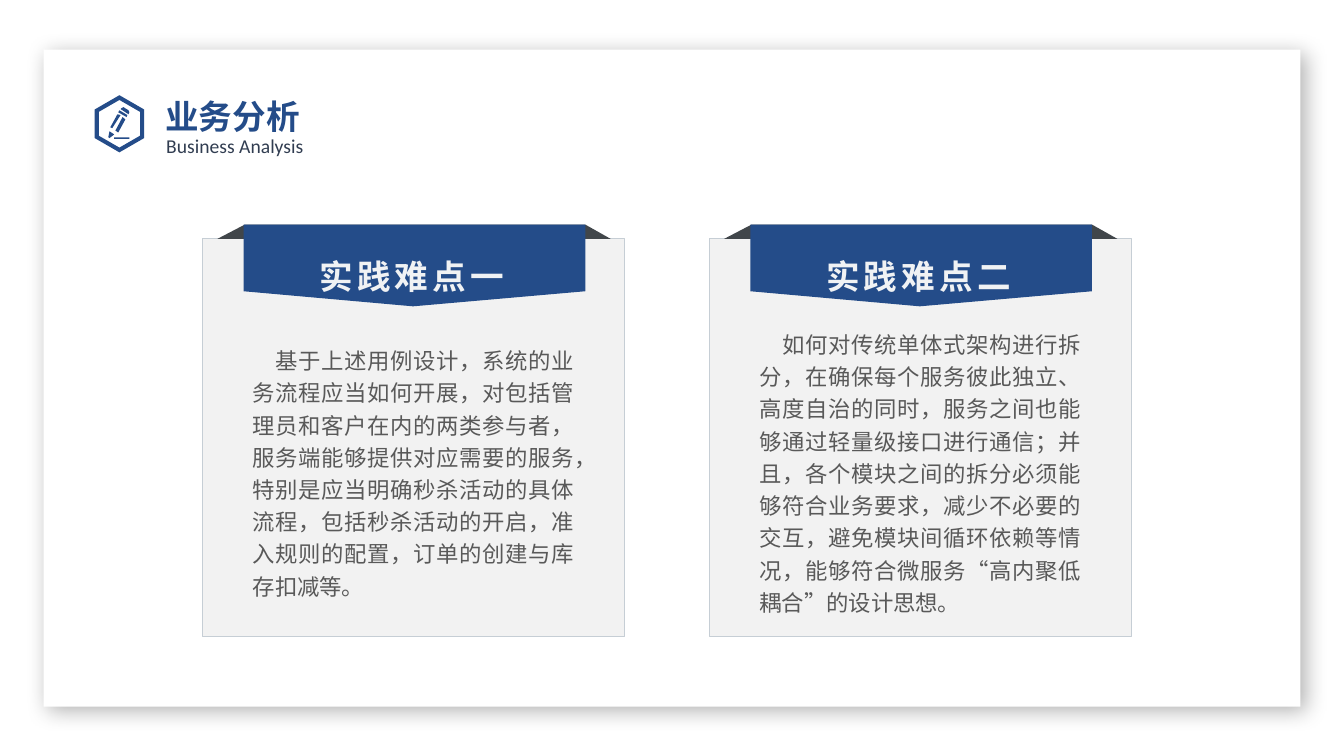
import math

import pptx
import pptx.dml.color
import pptx.enum.shapes
import pptx.enum.text
import pptx.oxml
import pptx.oxml.ns
import pptx.util
from pptx.util import Cm

BLUE = "244C89"
CJK = "Noto Sans CJK SC"
ALIGN = pptx.enum.text.PP_ALIGN
FIT = pptx.enum.text.MSO_AUTO_SIZE
NS = pptx.oxml.ns.nsdecls("a")


def colour(hex_string):
    return pptx.dml.color.RGBColor.from_string(hex_string)


class SlideBuilder:
    def __init__(self, page):
        self.page = page
        self.shapes = page.shapes

    def start_group(self):
        self.shapes = self.page.shapes.add_group_shape().shapes

    def end_group(self):
        self.shapes = self.page.shapes

    def paint(self, shape, fill, line=None):
        shape.shadow.inherit = False
        shape.fill.solid()
        shape.fill.fore_color.rgb = colour(fill)
        if line:
            shape.line.color.rgb = colour(line)
            shape.line.width = pptx.util.Pt(0.75)
        else:
            shape.line.fill.background()

    def rectangle(self, left, top, width, height, fill, line=None):
        kind = pptx.enum.shapes.MSO_SHAPE.RECTANGLE
        shape = self.shapes.add_shape(kind, Cm(left), Cm(top), Cm(width), Cm(height))
        self.paint(shape, fill, line)
        return shape

    def outline(self, contours, fill, left=0, top=0):
        """Fill closed contours, given in cm from (left, top), as one shape."""
        contours = [[(Cm(left + x), Cm(top + y)) for x, y in contour] for contour in contours]
        builder = self.shapes.build_freeform(*contours[0][0])
        for number, contour in enumerate(contours):
            if number:
                builder.move_to(*contour[0])
            builder.add_line_segments(contour[1:], close=True)
        self.paint(builder.convert_to_shape(), fill)

    def soft_shadow(self, shape):
        shape.shadow.inherit = False
        effects = shape.element.spPr.find(pptx.oxml.ns.qn("a:effectLst"))
        effects.append(pptx.oxml.parse_xml(
            f'<a:outerShdw {NS} blurRad="{pptx.util.Pt(15)}" dist="{pptx.util.Pt(5)}" '
            'dir="2700000" algn="tl" rotWithShape="0"><a:srgbClr val="000000">'
            '<a:alpha val="30000"/></a:srgbClr></a:outerShdw>'))

    def fill_text(self, box, text, size, font, hex_string, bold=False, align=ALIGN.LEFT,
                  spacing=1.2, wrap=True, fit=FIT.SHAPE_TO_FIT_TEXT, tracking=0, indent=0):
        frame = box.text_frame
        frame.text = text
        frame.word_wrap = wrap
        frame.auto_size = fit
        frame.vertical_anchor = pptx.enum.text.MSO_ANCHOR.TOP
        para = frame.paragraphs[0]
        para.alignment = align
        para.line_spacing = spacing
        para.space_before = pptx.util.Pt(0)
        para.font.size = pptx.util.Pt(size)
        para.font.name = font
        para.font.bold = bold
        para.font.color.rgb = colour(hex_string)
        # East Asian font, tracking and first-line indent
        properties = para._p.get_or_add_pPr()
        defaults = properties.find(pptx.oxml.ns.qn("a:defRPr"))
        defaults.append(pptx.oxml.parse_xml(f'<a:ea {NS} typeface="{CJK}"/>'))
        if tracking:
            defaults.set("spc", str(tracking * 100))
        if indent:
            properties.set("indent", str(Cm(indent)))

    def text(self, left, top, width, height, text, size, font, hex_string, **style):
        box = self.shapes.add_textbox(Cm(left), Cm(top), Cm(width), Cm(height))
        self.fill_text(box, text, size, font, hex_string, **style)
        return box

    def title(self, left, top, width, height, text, size, font, hex_string, **style):
        box = self.page.shapes.title
        box.left, box.top, box.width, box.height = Cm(left), Cm(top), Cm(width), Cm(height)
        self.fill_text(box, text, size, font, hex_string, fit=FIT.NONE, **style)
        self.page.shapes.element.append(box.element)


def hexagon(radius):
    angles = [math.radians(60 * corner - 90) for corner in range(6)]
    return [(radius * math.cos(angle), radius * math.sin(angle)) for angle in angles]


PENCIL = [
    [(-0.13, 0.34), (0.25, 0.34), (0.25, 0.38), (-0.13, 0.38)],
    [(-0.1, 0.17), (0.08, -0.17), (0.15, -0.11), (-0.03, 0.22)],
    [(-0.23, 0.09), (-0.05, -0.24), (0.03, -0.22), (-0.18, 0.11)],
    [(-0.28, 0.34), (-0.25, 0.19), (-0.13, 0.27), (-0.25, 0.36)],
    [(0, -0.34), (-0.03, -0.29), (0.18, -0.17), (0.2, -0.22)],
    [(0.05, -0.39), (0.1, -0.42), (0.23, -0.34), (0.25, -0.29), (0.23, -0.24), (0.03, -0.37)],
]
FOLD = [(1.07, 0), (9.65, 0), (10.29, 0.36), (0.38, 0.36)]
BANNER = [(1.04, 0), (9.65, 0), (9.65, 1.68), (5.31, 2.06), (1.04, 1.68)]
CARD_LEFT, CARD_PITCH, BANNER_TOP, BODY_MIDDLE = 5.1, 12.77, 5.66, 11.87
CARDS = [
    ("实践难点一", 6.76,
     "基于上述用例设计，系统的业务流程应当如何开展，对包括管理员和客户在内的两类参与者，"
     "服务端能够提供对应需要的服务，特别是应当明确秒杀活动的具体流程，包括秒杀活动的开启，"
     "准入规则的配置，订单的创建与库存扣减等。"),
    ("实践难点二", 7.57,
     "如何对传统单体式架构进行拆分，在确保每个服务彼此独立、高度自治的同时，服务之间也能够"
     "通过轻量级接口进行通信；并且，各个模块之间的拆分必须能够符合业务要求，减少不必要的交互，"
     "避免模块间循环依赖等情况，能够符合微服务“高内聚低耦合”的设计思想。"),
]


def main():
    deck = pptx.Presentation()
    deck.slide_width, deck.slide_height = Cm(33.87), Cm(19.05)
    slide = SlideBuilder(deck.slides.add_slide(deck.slide_layouts[5]))

    # White sheet and icon
    sheet = slide.rectangle(1.1, 1.25, 31.67, 16.56, "FFFFFF")
    slide.soft_shadow(sheet)
    slide.outline([hexagon(0.72), hexagon(0.6)] + PENCIL, BLUE, left=3.01, top=3.12)

    # Cards
    for number, (heading, body_height, body) in enumerate(CARDS):
        left = CARD_LEFT + number * CARD_PITCH
        slide.start_group()
        slide.rectangle(left, 6.02, 10.64, 10.03, "F2F2F2", "C6CED5")
        slide.outline([FOLD], "41464A", left, BANNER_TOP)
        slide.outline([BANNER], BLUE, left, BANNER_TOP)
        slide.text(left + 2.7, 6.12, 5.33, 1.37, heading, 24, CJK, "F0F2F4",
                   bold=True, align=ALIGN.JUSTIFY, wrap=False, tracking=3)
        slide.text(left + 1.02, BODY_MIDDLE - body_height / 2, 8.61, body_height, body,
                   16, CJK, "595959", align=ALIGN.JUSTIFY, indent=0.58)
        slide.end_group()

    # Title and subtitle
    slide.title(3.91, 2.08, 10.08, 1.27, "业务分析", 24, "Karla", BLUE, bold=True)
    subtitle = slide.text(4.19, 3.15, 8.15, 0.86, "Business Analysis", 14, "Calibri", "313D51",
                          spacing=pptx.util.Pt(23))
    frame = subtitle.text_frame
    frame.margin_left = frame.margin_top = frame.margin_right = Cm(0)

    deck.save("out.pptx")


if __name__ == "__main__":
    main()
